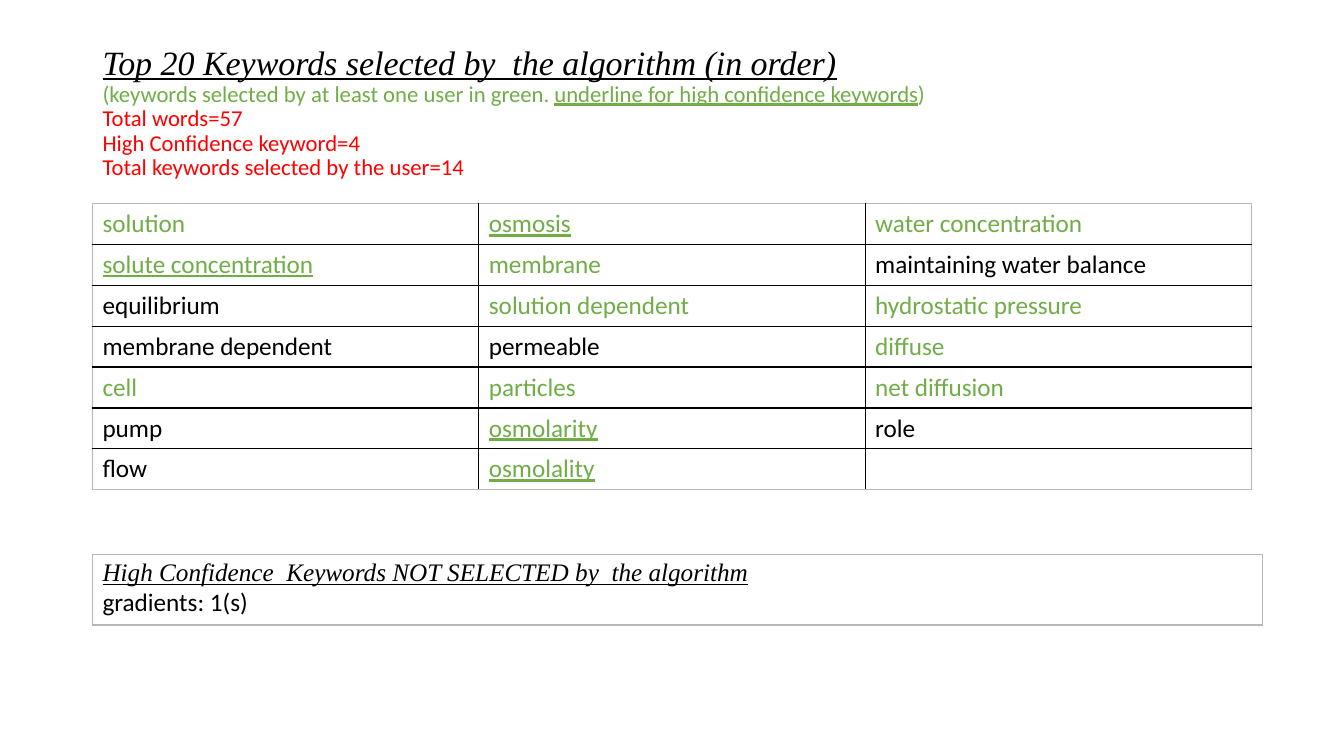
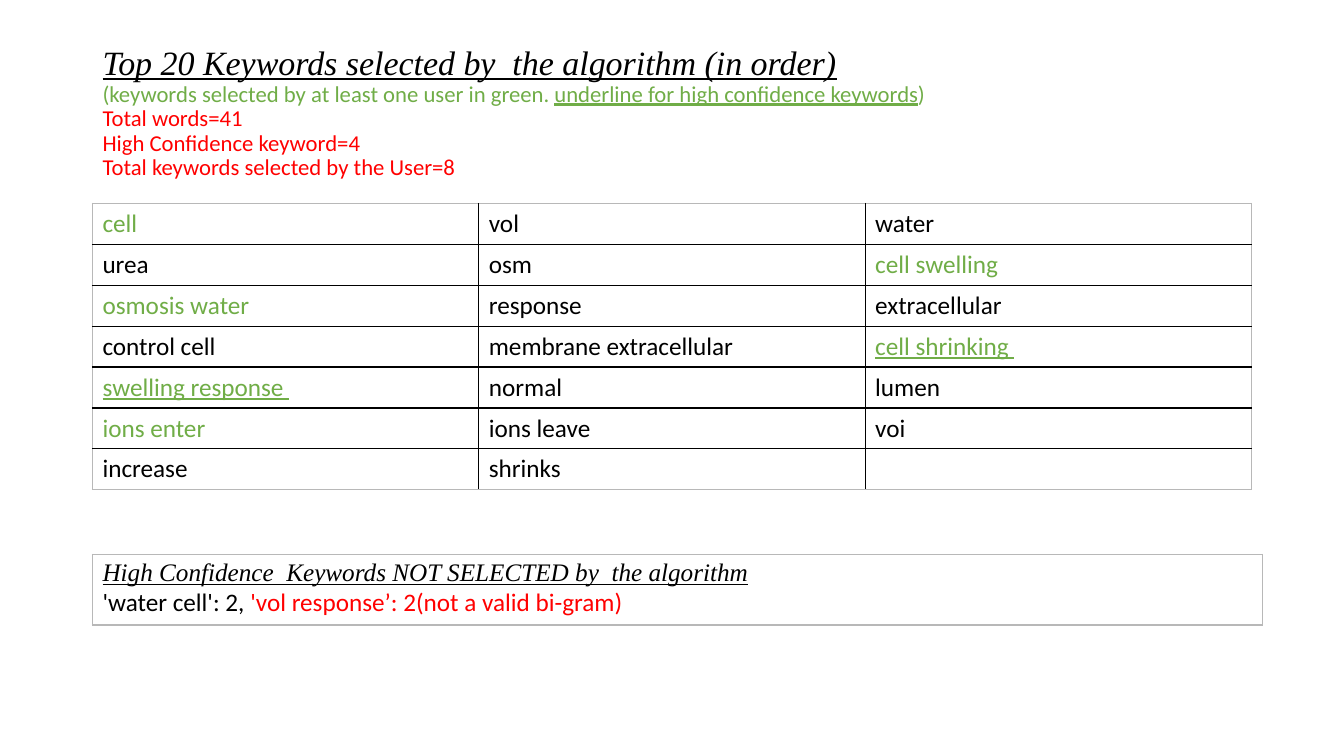
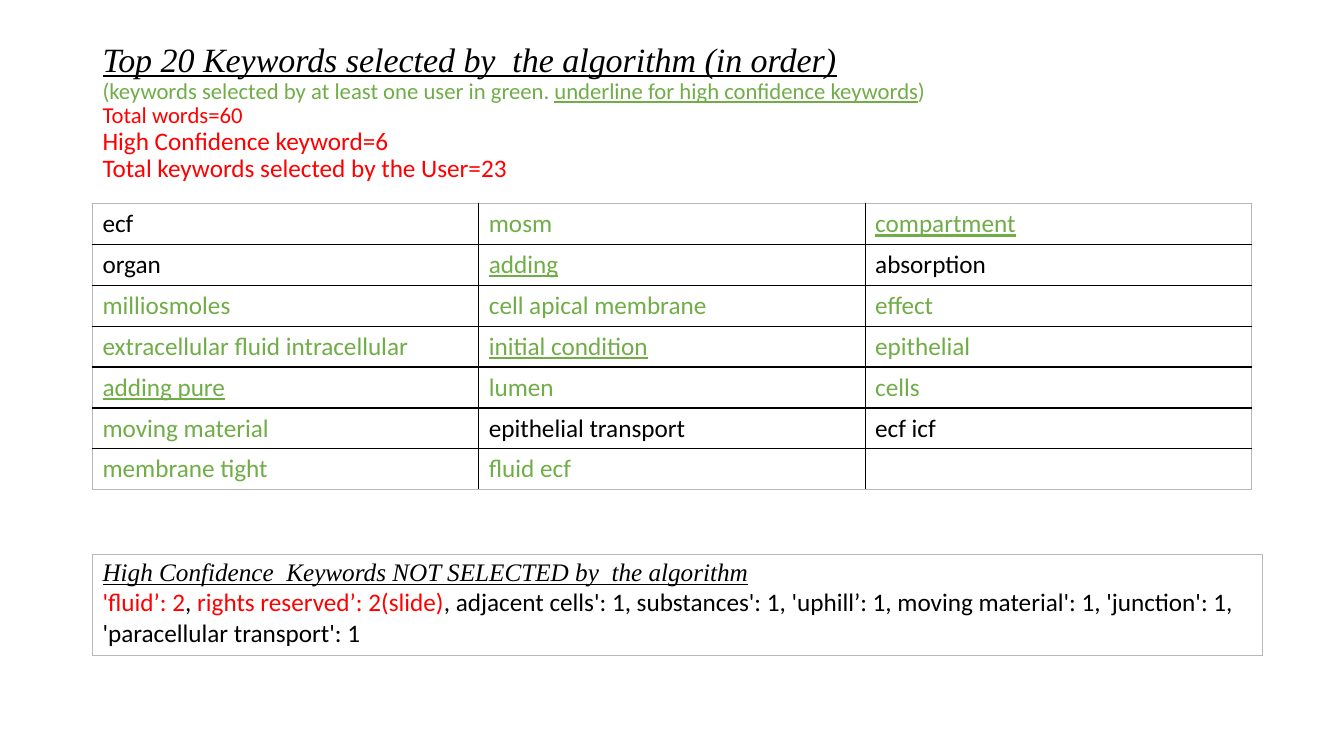
from lxml import etree
from pptx import Presentation, util as u
from pptx.dml.color import RGBColor
from pptx.enum import text
from pptx.oxml.ns import qn

COLORS = {"black": "000000", "green": "70AD47", "red": "FF0000", "edge": "B8B8B8"}
SANS, SERIF = "Calibri", "Times New Roman"
LEFT, WIDTH, ROW = u.Cm(2.33), u.Cm(29.21), u.Cm(1.03)
HEADING = "Top 20 Keywords selected by  the algorithm (in order)"
MISSED = "High Confidence  Keywords NOT SELECTED by  the algorithm"

# Keywords: "+" marks a user selection, "_" a high confidence one.
SLIDES = [
    {
        "counts": [("Total words=57", 16.2), ("High Confidence keyword=4", 16.2),
                   ("Total keywords selected by the user=14", 16.2)],
        "keywords": [
            ["+solution", "_osmosis", "+water concentration"],
            ["_solute concentration", "+membrane", "maintaining water balance"],
            ["equilibrium", "+solution dependent", "+hydrostatic pressure"],
            ["membrane dependent", "permeable", "+diffuse"],
            ["+cell", "+particles", "+net diffusion"],
            ["pump", "_osmolarity", "role"],
            ["flow", "_osmolality", ""],
        ],
        "missed": [("gradients: 1(s)", "black")],
        "missed_height": u.Cm(1.78),
    },
    {
        "counts": [("Total words=41", 16.2), ("High Confidence keyword=4", 16.2),
                   ("Total keywords selected by the User=8", 16.2)],
        "keywords": [
            ["+cell", "vol", "water"],
            ["urea", "osm", "+cell swelling"],
            ["+osmosis water", "response", "extracellular"],
            ["control cell", "membrane extracellular", "_cell shrinking "],
            ["_swelling response ", "normal", "lumen"],
            ["+ions enter", "ions leave", "voi"],
            ["increase", "shrinks", ""],
        ],
        "missed": [("'water cell': 2, ", "black"),
                   ("'vol response’: 2(not a valid bi-gram)", "red")],
        "missed_height": u.Cm(1.78),
    },
    {
        "counts": [("Total words=60", 16.2), ("High Confidence keyword=6", 18),
                   ("Total keywords selected by the User=23", 18)],
        "keywords": [
            ["ecf", "+mosm", "_compartment"],
            ["organ", "_adding", "absorption"],
            ["+milliosmoles", "+cell apical membrane", "+effect"],
            ["+extracellular fluid intracellular", "_initial condition", "+epithelial"],
            ["_adding pure", "+lumen", "+cells"],
            ["+moving material", "epithelial transport", "ecf icf"],
            ["+membrane tight", "+fluid ecf", ""],
        ],
        "missed": [("'fluid’: 2", "red"), (", ", "black"),
                   ("rights reserved’: 2(slide)", "red"),
                   (", adjacent cells': 1, substances': 1, 'uphill’: 1, moving material': 1, "
                    "'junction': 1, 'paracellular transport': 1", "black")],
        "missed_height": u.Cm(2.54),
    },
]


def add_run(p, words, size=18, color="black", font=SANS, italic=False, underline=False):
    """Append a formatted run to a paragraph."""
    r = p.add_run()
    r.text = words
    f = r.font
    f.size, f.name, f.italic, f.underline = u.Pt(size), font, italic, underline
    f.bold = False
    f.color.rgb = RGBColor.from_string(COLORS[color])


def add_heading(p, words, size):
    """Write an underlined italic serif heading."""
    add_run(p, words, size, font=SERIF, italic=True, underline=True)


def add_title(slide, counts):
    """Place the title with its colour key and word counts."""
    sp = slide.shapes.title
    sp.left, sp.top, sp.width, sp.height = LEFT, u.Cm(1.01), WIDTH, u.Cm(3.68)
    tf = sp.text_frame
    tf.word_wrap = True
    tf.auto_size = text.MSO_AUTO_SIZE.NONE
    tf.vertical_anchor = text.MSO_ANCHOR.MIDDLE
    add_heading(tf.paragraphs[0], HEADING, 24.3)
    p = tf.add_paragraph()
    add_run(p, "(keywords selected by at least one user in green. ", 16.2, "green")
    add_run(p, "underline for high confidence keywords", 16.2, "green", underline=True)
    add_run(p, ")", 16.2, "green")
    for words, size in counts:
        add_run(tf.add_paragraph(), words, size, "red")
    for p in tf.paragraphs:
        p.alignment = text.PP_ALIGN.LEFT
        p.line_spacing = 0.9


def set_borders(cell, outer):
    """Draw the four cell borders, lighter on the outer sides of the table."""
    tc_pr = cell._tc.get_or_add_tcPr()
    for side in "LRTB":
        ln = etree.SubElement(tc_pr, qn(f"a:ln{side}"), w=str(u.Pt(1)))
        fill = etree.SubElement(ln, qn("a:solidFill"))
        color = COLORS["edge" if side in outer else "black"]
        etree.SubElement(fill, qn("a:srgbClr"), val=color)


def add_grid(slide, rows, cols, top, width, height):
    """Add an unfilled bordered table and return it."""
    table = slide.shapes.add_table(rows, cols, LEFT, top, width, height).table
    table.first_row = table.horz_banding = False
    for i in range(rows):
        for j in range(cols):
            sides = {"L": j == 0, "R": j == cols - 1, "T": i == 0, "B": i == rows - 1}
            cell = table.cell(i, j)
            set_borders(cell, [side for side, is_outer in sides.items() if is_outer])
            cell.fill.background()
    return table


def add_keywords(slide, keywords):
    """Fill the keyword table, colouring the marked words."""
    rows, cols = len(keywords), len(keywords[0])
    table = add_grid(slide, rows, cols, u.Cm(5.13), WIDTH, ROW * rows)
    for i, row in enumerate(keywords):
        for j, word in enumerate(row):
            if word:
                color = "green" if word[0] in "+_" else "black"
                add_run(table.cell(i, j).text_frame.paragraphs[0], word.lstrip("+_"),
                        color=color, underline=word[0] == "_")


def add_missed(slide, parts, height):
    """Add the box of keywords that were not selected."""
    table = add_grid(slide, 1, 1, u.Cm(13.97), u.Cm(29.49), height)
    tf = table.cell(0, 0).text_frame
    add_heading(tf.paragraphs[0], MISSED, 18)
    p = tf.add_paragraph()
    for words, color in parts:
        add_run(p, words, color=color)


def main():
    """Build the keyword slides."""
    prs = Presentation()
    prs.slide_width, prs.slide_height = u.Cm(33.87), u.Cm(19.05)
    for content in SLIDES:
        s = prs.slides.add_slide(prs.slide_layouts[5])
        add_title(s, content["counts"])
        add_keywords(s, content["keywords"])
        add_missed(s, content["missed"], content["missed_height"])
    prs.save("out.pptx")


main()
